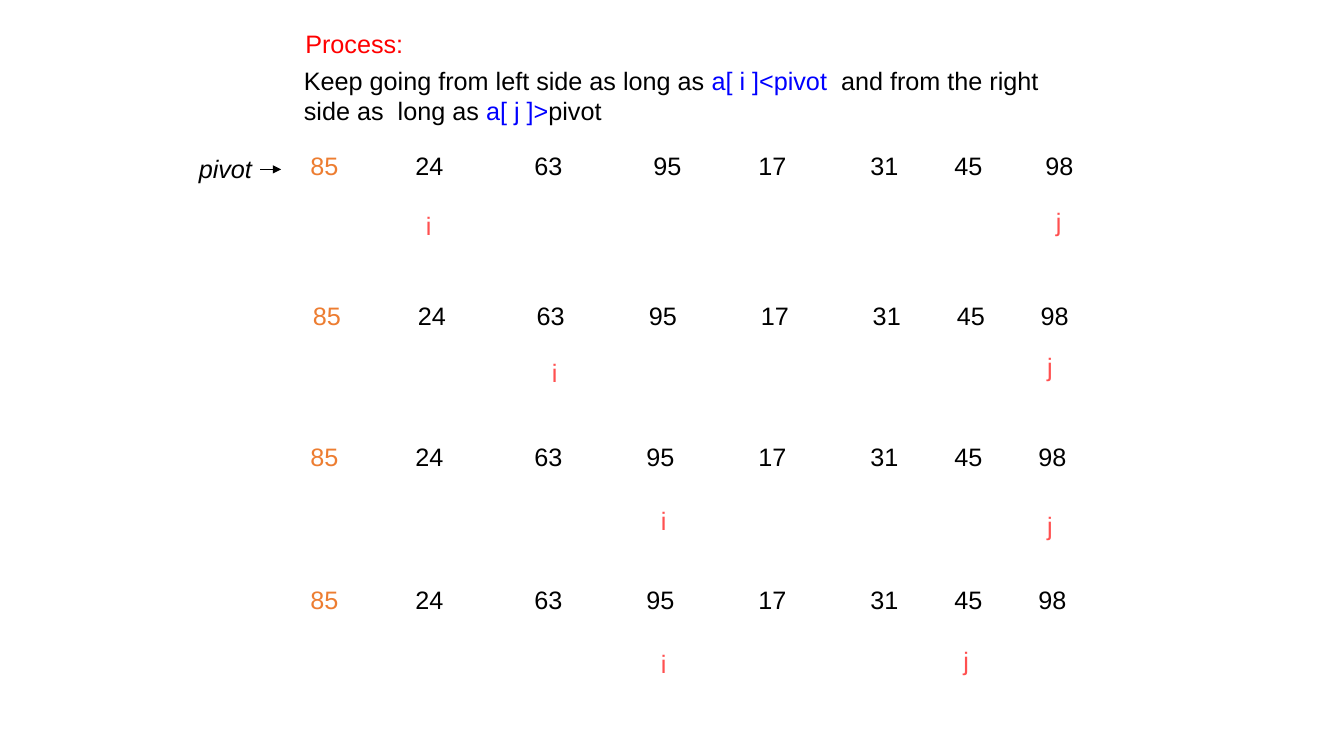
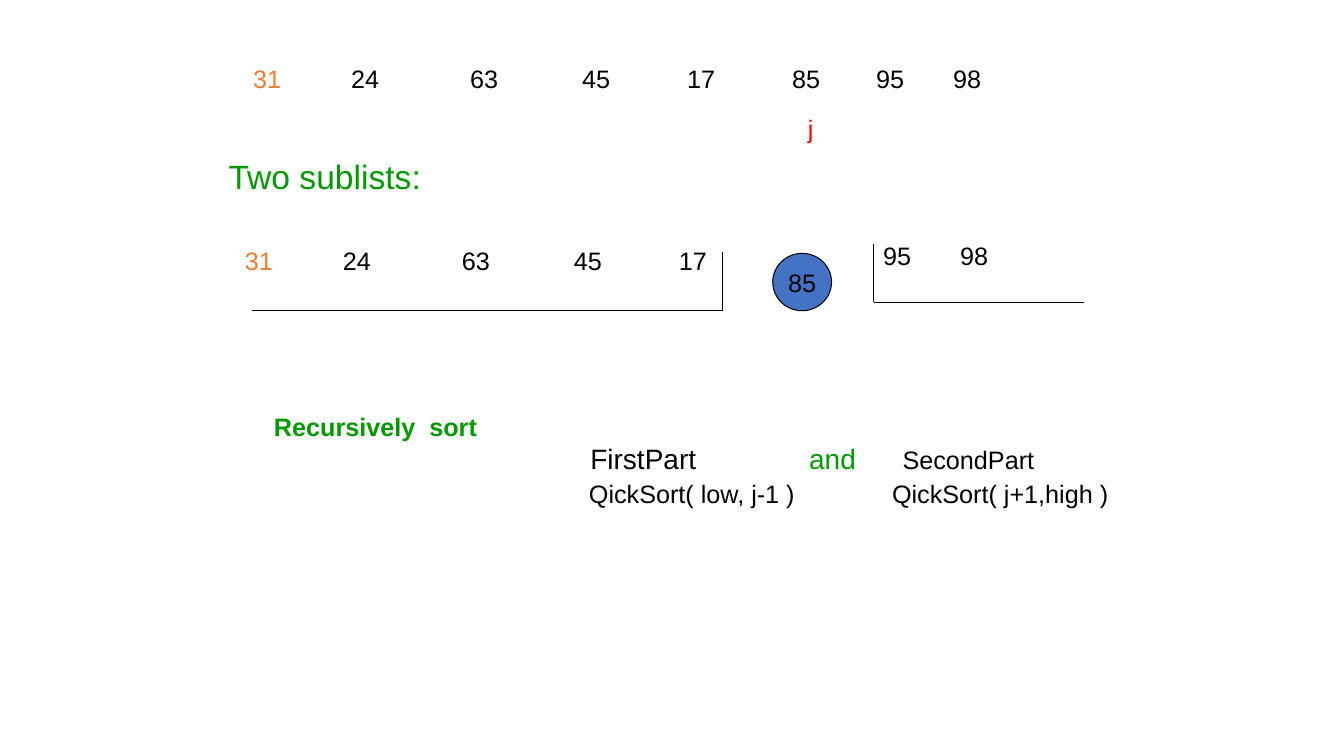
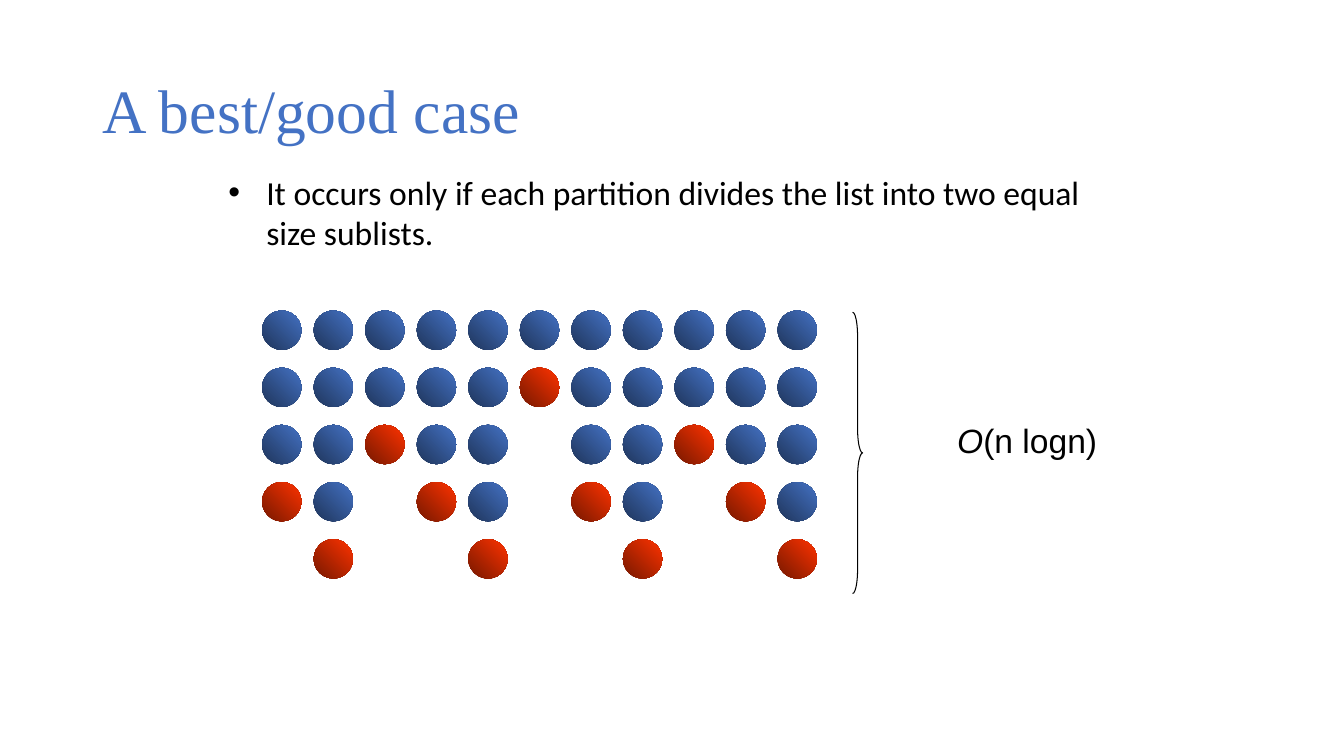
from itertools import zip_longest

from lxml import etree
from pptx import Presentation
from pptx.dml.color import RGBColor
from pptx.enum.shapes import MSO_CONNECTOR as CONN, MSO_SHAPE as SHAPE
from pptx.enum.text import MSO_ANCHOR as ANCHOR, MSO_AUTO_SIZE as AUTO, PP_ALIGN as ALIGN
from pptx.oxml.ns import qn
from pptx.util import Pt

BLACK = RGBColor(0x00, 0x00, 0x00)
WHITE = RGBColor(0xFF, 0xFF, 0xFF)
BLUE = RGBColor(0x00, 0x00, 0xFF)
RED = RGBColor(0xFF, 0x00, 0x00)
CORAL = RGBColor(0xFF, 0x50, 0x50)
ORANGE = RGBColor(0xED, 0x7D, 0x31)
GREEN = RGBColor(0x00, 0x99, 0x00)
ACCENT = RGBColor(0x44, 0x72, 0xC4)
BALLS = {"b": (RGBColor(0x1F, 0x35, 0x5B), ACCENT),
         "r": (RGBColor(0x76, 0x18, 0x00), RGBColor(0xFF, 0x33, 0x00))}
FONT = "Arial"


def add_text(s, x, y, w, h, *paras, size=18, tabs=(), shape=None, fill=WHITE, line=WHITE):
    """Each paragraph is a list of (text, colour[, size]) runs; tabs holds one list of stops per paragraph.

    With a preset shape the text is centred in that shape, otherwise it goes in a plain text box.
    """
    box = Pt(x), Pt(y), Pt(w), Pt(h)
    if shape is None:
        sp = s.shapes.add_textbox(*box)
    else:
        sp = s.shapes.add_shape(shape, *box)
        sp.shadow.inherit = False
        sp.fill.solid()
        sp.fill.fore_color.rgb = fill
        sp.line.color.rgb = line
        sp.line.width = Pt(0.75)
        sp.text_frame.vertical_anchor = ANCHOR.MIDDLE
    tf = sp.text_frame
    tf.word_wrap = shape is None
    for i, (runs, stops) in enumerate(zip_longest(paras, tabs, fillvalue=())):
        p = tf.paragraphs[0] if i == 0 else tf.add_paragraph()
        p.alignment = ALIGN.LEFT if shape is None else ALIGN.CENTER
        if stops:
            tab_list = etree.SubElement(p._p.get_or_add_pPr(), qn("a:tabLst"))
            for stop in stops:
                etree.SubElement(tab_list, qn("a:tab"), pos=str(Pt(stop)), algn="l")
        for text, color, *own_size in runs:
            r = p.add_run()
            r.text = text
            r.font.name = FONT
            r.font.size = Pt(own_size[0] if own_size else size)
            r.font.color.rgb = color
    return tf


def add_line(s, x1, y1, x2, y2):
    ln = s.shapes.add_connector(CONN.STRAIGHT, Pt(x1), Pt(y1), Pt(x2), Pt(y2))
    ln.line.color.rgb = BLACK
    ln.line.width = Pt(0.75)
    etree.SubElement(ln._element.spPr, qn("a:effectLst"))
    return ln


prs = Presentation()
prs.slide_width, prs.slide_height = Pt(960), Pt(540)
BLANK, TITLE_BODY = prs.slide_layouts[6], prs.slide_layouts[1]

# Slide 1: moving i and j
s = prs.slides.add_slide(BLANK)
add_text(s, 211, 16.8, 222, 29, [("Process:", RED)])
add_text(s, 210, 43.2, 545.8, 50,
         [("Keep going from left side as long as ", BLACK), ("a[ i ]<pivot", BLUE),
          ("  and from the right side as  long as ", BLACK), ("a[ j ]>", BLUE),
          ("pivot", BLACK)])

STOPS = [75, 160, 240, 320, 400, 460, 520]
FIRST_STOPS = [75, 160, 245, 320, 400, 460, 525]
steps = [  # row left, row top, tab stops, i position, j position
    (214.6, 103.7, FIRST_STOPS, (297.2, 146.9), (747.2, 144)),
    (216.3, 211, STOPS, (387.2, 252), (740.8, 247.4)),
    (214.6, 311.8, STOPS, (465, 357.4), (740.8, 361)),
    (214.6, 414, STOPS, (465, 459.4), (681, 457.2)),
]
for x, y, stops, i_at, j_at in steps:
    add_text(s, x, y, 569.5, 29,
             [("85", ORANGE), ("\t24\t63\t95\t17\t31\t45\t98", BLACK)], tabs=[stops])
    for letter, (lx, ly) in (("i", i_at), ("j", j_at)):
        add_text(s, lx, ly, 30, 29, [(letter, CORAL)])

pivot = add_text(s, 137, 112, 48, 17.3, [("pivot", BLACK)], shape=SHAPE.RECTANGLE)
pivot.paragraphs[0].runs[0].font.italic = True
arrow = add_line(s, 185.8, 121, 200.9, 121)
etree.SubElement(arrow.line._get_or_add_ln(), qn("a:tailEnd"), type="triangle")

# Slide 2: the two sublists
s = prs.slides.add_slide(BLANK)
SORTED_STOPS = [70, 155, 235, 310, 385, 445, 500]
add_text(s, 173.8, 41.8, 569.5, 29,
         [("31", ORANGE), ("\t24\t63\t45\t17\t85\t95\t98", BLACK)], tabs=[SORTED_STOPS])
add_text(s, 156.2, 108, 311.8, 36, [("Two sublists:", GREEN)], size=24)
add_text(s, 167.8, 171.4, 383.8, 29,
         [("31", ORANGE), ("\t24\t63\t45\t17", BLACK)], tabs=[SORTED_STOPS[:4]])
add_text(s, 623.8, 167.8, 162, 29, [("95\t98", BLACK)], tabs=[[55]])
for ends in ((516, 180, 516, 222), (180, 222, 516, 222),
             (624, 174, 624, 216), (624, 216, 774, 216)):
    add_line(s, *ends)

tf = add_text(s, 188.6, 290.2, 627, 122.4,
              [("Recursively  sort", GREEN)],
              [("\tFirstPart", BLACK, 20), ("\tand", GREEN, 20), ("\tSecondPart", BLACK)],
              [("\tQickSort( low, j-1 )\tQickSort( j+1,high )", BLACK)],
              tabs=[(), (226, 382.3, 449), (225, 441.5)])
tf.paragraphs[0].runs[0].font.bold = True
tf.paragraphs[1].space_before = Pt(0)
tf.paragraphs[2].space_before = Pt(2.3)
add_text(s, 549, 79.2, 60, 25, [("j", RED)], shape=SHAPE.RECTANGLE)
add_text(s, 552, 181, 42, 41, [("85", BLACK)], shape=SHAPE.OVAL, fill=ACCENT, line=BLACK)

# Slide 3: best case
s = prs.slides.add_slide(TITLE_BODY)
title, body = s.shapes.title, s.placeholders[1]
title.left, title.top, title.width, title.height = Pt(66), Pt(28.8), Pt(828), Pt(104.4)
body.left, body.top, body.width, body.height = Pt(156), Pt(119), Pt(648), Pt(356)
for sp, text, font, size, color in (
        (title, "A best/good case", "Times New Roman", 44, ACCENT),
        (body, "It occurs only if each partition divides the list into two equal size sublists.",
         "Calibri", 24, BLACK)):
    sp.text_frame.auto_size = AUTO.NONE
    p = sp.text_frame.paragraphs[0]
    p.alignment = ALIGN.LEFT
    p.space_before = Pt(0)
    r = p.add_run()
    r.text = text
    r.font.name, r.font.size = font, Pt(size)
    r.font.color.rgb = color
title.text_frame.vertical_anchor = ANCHOR.MIDDLE
title.text_frame.paragraphs[0].line_spacing = 0.9
pPr = body.text_frame.paragraphs[0]._p.get_or_add_pPr()
pPr.set("marL", str(Pt(27)))
pPr.set("indent", str(Pt(-27)))
etree.SubElement(pPr, qn("a:buFont"), typeface=FONT)
etree.SubElement(pPr, qn("a:buChar"), char="•")

BALL, PITCH_X, PITCH_Y = 28.1, 36.82, 40.84
levels = ["bbbbbbbbbbb",
          "bbbbbrbbbbb",
          "bbrbb bbrbb",
          "rb rb rb rb",
          " r  r  r  r"]
for row, level in enumerate(levels):
    for col, kind in enumerate(level):
        if kind == " ":
            continue
        sp = s.shapes.add_shape(SHAPE.OVAL, Pt(187.2 + col * PITCH_X),
                                Pt(221.8 + row * PITCH_Y), Pt(BALL), Pt(BALL))
        sp.shadow.inherit = False
        sp.line.fill.background()
        sp.fill.gradient()
        sp.fill.gradient_angle = 45
        for stop, position, color in zip(sp.fill.gradient_stops, (0, 1), BALLS[kind]):
            stop.position = position
            stop.color.rgb = color

brace = s.shapes.add_shape(SHAPE.RIGHT_BRACE, Pt(609), Pt(223), Pt(7.2), Pt(201))
brace.shadow.inherit = False
brace.adjustments[0] = 2.39
brace.fill.background()
brace.line.color.rgb = BLACK
brace.line.width = Pt(0.75)
cost = add_text(s, 666, 292.3, 135.4, 44.6, [("O", BLACK), ("(n logn)", BLACK)],
                size=24, shape=SHAPE.RECTANGLE)
cost.paragraphs[0].runs[0].font.italic = True

prs.save("out.pptx")
